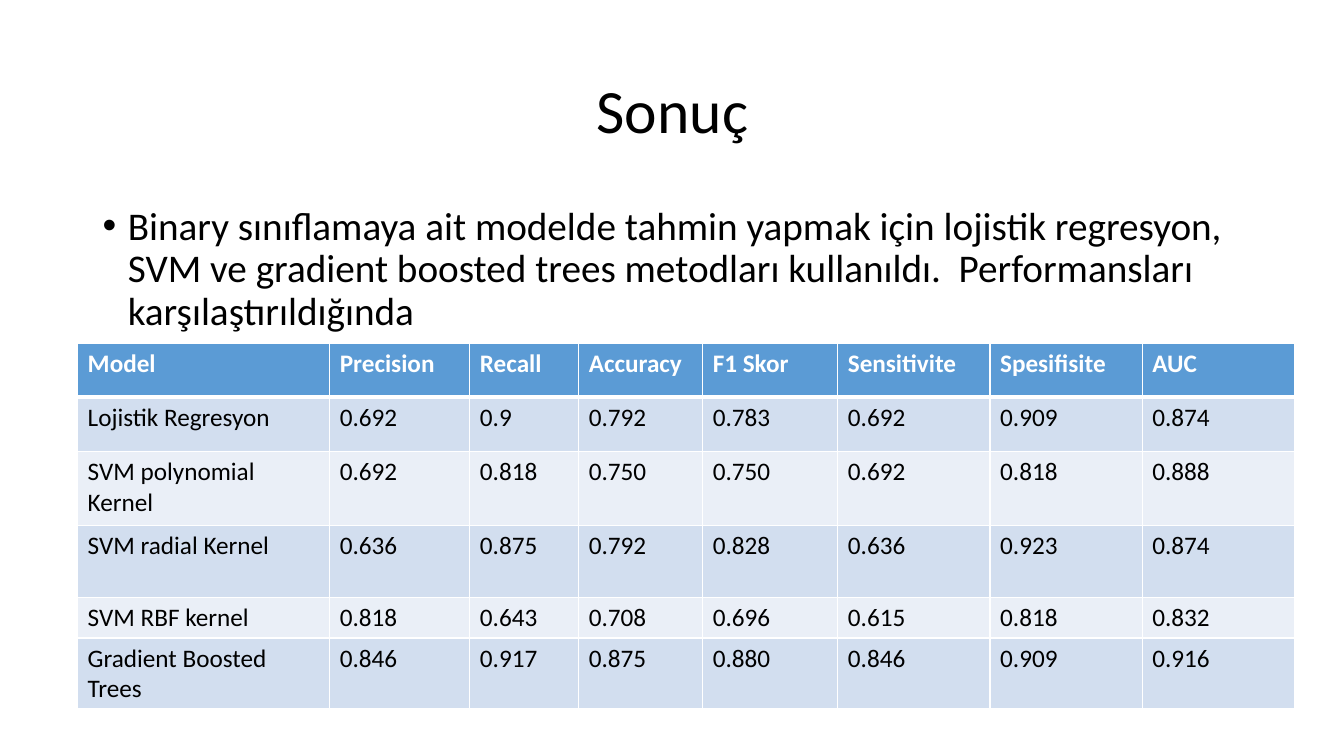
from lxml import etree
from pptx import Presentation
from pptx.dml.color import RGBColor
from pptx.enum.text import MSO_ANCHOR, PP_ALIGN
from pptx.oxml.ns import qn
from pptx.util import Inches, Pt

CENTER, LEFT = PP_ALIGN.CENTER, PP_ALIGN.LEFT
MIDDLE, TOP = MSO_ANCHOR.MIDDLE, MSO_ANCHOR.TOP
FONT = "Calibri"
BLACK, WHITE = "000000", "FFFFFF"
HEADER_FILL = "5B9BD5"
BAND_FILLS = ("EAEFF7", "D2DEEF")

COLUMN_WIDTHS = (2.5, 1.39, 1.08, 1.23, 1.34, 1.51, 1.51, 1.51)
ROW_HEIGHTS = (0.53, 0.54, 0.73, 0.72, 0.39, 0.69)
RESULTS = (
    ("Model", "Precision", "Recall", "Accuracy", "F1 Skor", "Sensitivite", "Spesifisite", "AUC"),
    ("Lojistik Regresyon", "0.692", "0.9", "0.792", "0.783", "0.692", "0.909", "0.874"),
    ("SVM polynomial Kernel", "0.692", "0.818", "0.750", "0.750", "0.692", "0.818", "0.888"),
    ("SVM radial Kernel", "0.636", "0.875", "0.792", "0.828", "0.636", "0.923", "0.874"),
    ("SVM RBF kernel", "0.818", "0.643", "0.708", "0.696", "0.615", "0.818", "0.832"),
    ("Gradient Boosted Trees", "0.846", "0.917", "0.875", "0.880", "0.846", "0.909", "0.916"),
)
SUMMARY = (
    "Binary sınıflamaya ait modelde tahmin yapmak için lojistik regresyon, "
    "SVM ve gradient boosted trees metodları kullanıldı.  Performansları "
    "karşılaştırıldığında"
)


def rgb(value):
    """Return the colour for a hex string."""
    return RGBColor.from_string(value)


def write_text(tf, text, size=18, color=BLACK, bold=False, align=LEFT, spacing=1.0, before=0):
    """Write one formatted paragraph into a text frame and return it."""
    p = tf.paragraphs[0]
    p.alignment = align
    p.line_spacing = spacing
    p.space_before = Pt(before)
    r = p.add_run()
    r.text = text
    r.font.name = FONT
    r.font.size = Pt(size)
    r.font.bold = bold
    r.font.color.rgb = rgb(color)
    return p


def add_text(s, text, left, top, width, height, anchor=TOP, **style):
    """Add a wrapping text box and return its paragraph."""
    sp = s.shapes.add_textbox(Inches(left), Inches(top), Inches(width), Inches(height))
    tf = sp.text_frame
    tf.word_wrap = True
    tf.vertical_anchor = anchor
    return write_text(tf, text, **style)


def set_bullet(p, indent):
    """Give a paragraph a round bullet with a hanging indent."""
    pPr = p._p.get_or_add_pPr()
    pPr.set("marL", str(Inches(indent)))
    pPr.set("indent", str(-Inches(indent)))
    etree.SubElement(pPr, qn("a:buFont"), typeface="Arial")
    etree.SubElement(pPr, qn("a:buChar"), char="•")


def set_borders(cell, **widths):
    """Draw white cell borders with the given point width for each side."""
    tcPr = cell._tc.get_or_add_tcPr()
    for side, width in widths.items():
        ln = etree.SubElement(tcPr, qn(f"a:ln{side}"), w=str(Pt(width)))
        fill = etree.SubElement(ln, qn("a:solidFill"))
        etree.SubElement(fill, qn("a:srgbClr"), val=WHITE)


def add_results_table(s, left, top):
    """Add the banded table of model scores."""
    frame = s.shapes.add_table(
        len(RESULTS), len(COLUMN_WIDTHS), Inches(left), Inches(top),
        Inches(sum(COLUMN_WIDTHS)), Inches(sum(ROW_HEIGHTS)))
    table = frame.table
    for column, width in zip(table.columns, COLUMN_WIDTHS):
        column.width = Inches(width)
    for i, (row, height, values) in enumerate(zip(table.rows, ROW_HEIGHTS, RESULTS)):
        row.height = Inches(height)
        header = i == 0
        for cell, value in zip(row.cells, values):
            set_borders(cell, L=1, R=1, T=3 if i == 1 else 1, B=3 if header else 1)
            cell.fill.solid()
            cell.fill.fore_color.rgb = rgb(HEADER_FILL if header else BAND_FILLS[i % 2])
            write_text(cell.text_frame, value, color=WHITE if header else BLACK, bold=header)


def main():
    """Build the results slide."""
    prs = Presentation()
    prs.slide_width, prs.slide_height = Inches(13.33), Inches(7.5)
    s = prs.slides.add_slide(prs.slide_layouts[6])
    add_text(s, "Sonuç", 0.92, 0.4, 11.5, 1.45, anchor=MIDDLE, size=44, align=CENTER, spacing=0.9)
    p = add_text(s, SUMMARY, 0.92, 2, 11.5, 4.76, size=28, spacing=0.9, before=10)
    set_bullet(p, 0.25)
    add_results_table(s, 0.77, 3.41)
    prs.save("out.pptx")


if __name__ == "__main__":
    main()
